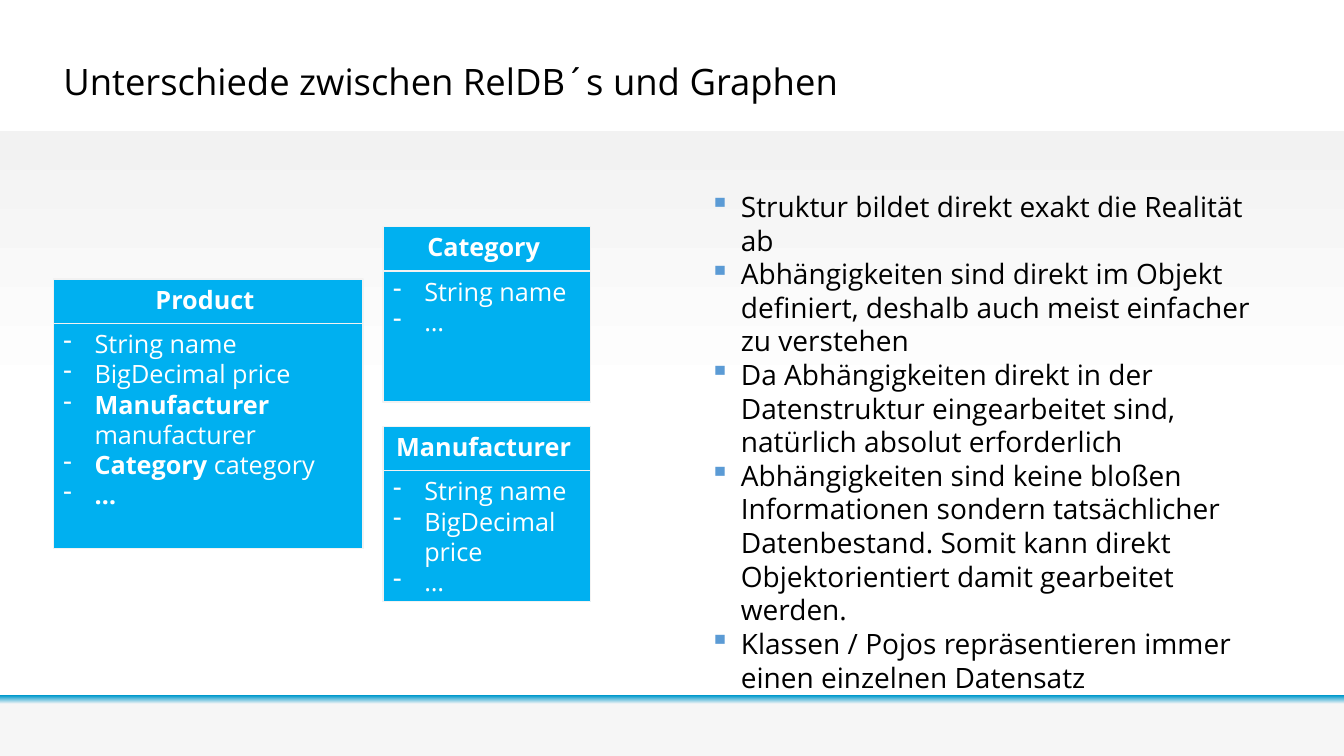
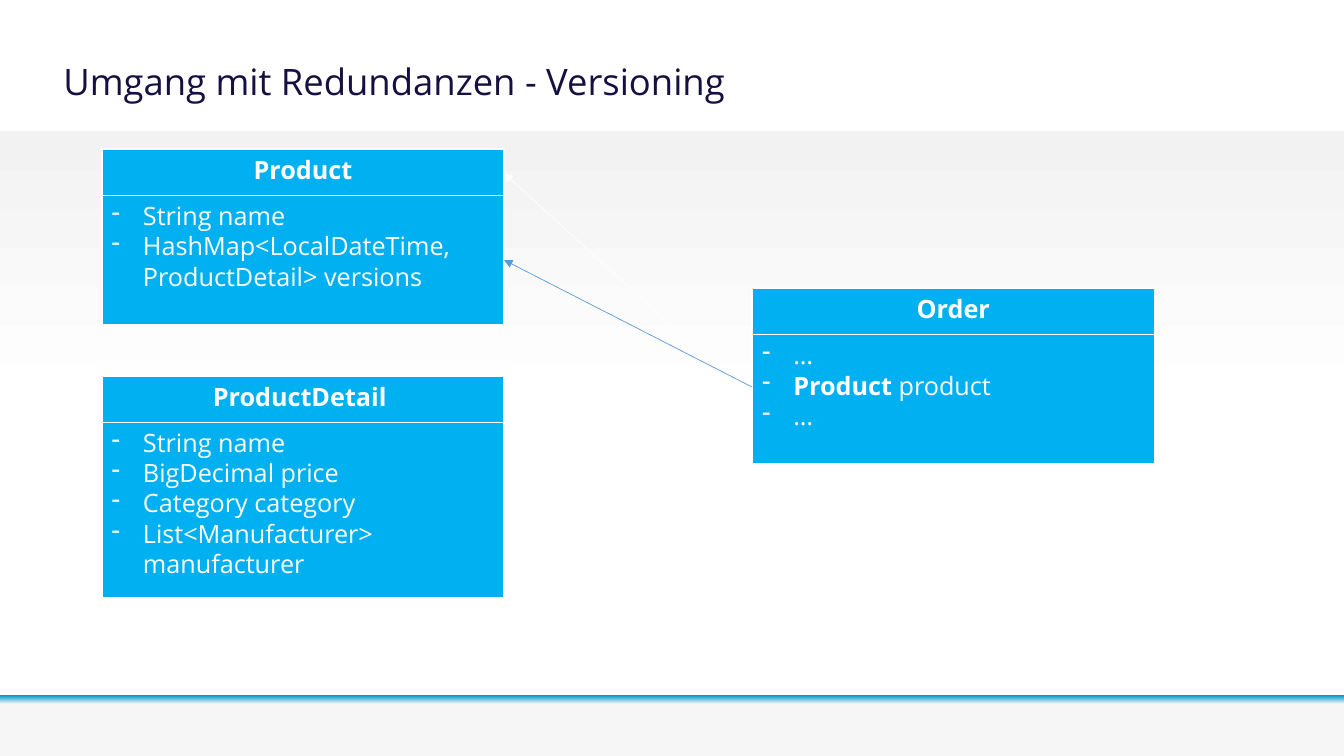
from lxml.etree import SubElement
from pptx import Presentation
from pptx.dml.color import RGBColor
from pptx.enum.shapes import MSO_CONNECTOR as Connector, MSO_SHAPE as Shape
from pptx.enum.text import MSO_ANCHOR as Anchor, MSO_AUTO_SIZE as AutoSize, PP_ALIGN as Align
from pptx.oxml.ns import qn
from pptx.util import Inches, Pt

FONT = "Open Sans"
BLACK, NAVY, WHITE, LIGHT = "000000", "150F42", "FFFFFF", "F2F2F2"
CLASS_BLUE, ACCENT = "00B0F0", "5B9BD5"
WIDTH, HEIGHT = 13.33, 7.5
INDENT = 0.31

GRAPH_POINTS = [
    "Struktur bildet direkt exakt die Realität ab",
    "Abhängigkeiten sind direkt im Objekt definiert, deshalb auch meist einfacher zu verstehen",
    "Da Abhängigkeiten direkt in der Datenstruktur eingearbeitet sind, natürlich absolut erforderlich",
    "Abhängigkeiten sind keine bloßen Informationen sondern tatsächlicher Datenbestand. "
    "Somit kann direkt Objektorientiert damit gearbeitet werden.",
    "Klassen / Pojos repräsentieren immer einen einzelnen Datensatz",
]


def color(code):
    return RGBColor.from_string(code)


def inches(*lengths):
    return [Inches(length) for length in lengths]


# Text
def style(para, size, code, bold=None):
    for span in para.runs:
        span.font.name = FONT
        span.font.size = Pt(size)
        span.font.color.rgb = color(code)
        if bold is not None:
            span.font.bold = bold


def add_bullet(para, mark, code=None):
    props = para._p.get_or_add_pPr()
    props.set("marL", str(Inches(INDENT)))
    props.set("indent", str(-Inches(INDENT)))
    if code:
        SubElement(SubElement(props, qn("a:buClr")), qn("a:srgbClr")).set("val", code)
    SubElement(props, qn("a:buChar")).set("char", mark)


def fill_list(frame, items, mark, size, code, mark_code=None):
    """Each item is plain text or a pair of bold and regular text."""
    for index, item in enumerate(items):
        para = frame.paragraphs[0] if index == 0 else frame.add_paragraph()
        para.alignment = Align.LEFT
        if isinstance(item, tuple):
            for text, bold in zip(item, (True, False)):
                if text:
                    span = para.add_run()
                    span.text, span.font.bold = text, bold
        else:
            para.text = item
        style(para, size, code)
        add_bullet(para, mark, mark_code)


# Slide frame: gradient bands and title
def add_band(page, box, stops):
    band = page.shapes.add_shape(Shape.RECTANGLE, *inches(*box))
    band.shadow.inherit = False
    band.line.fill.background()
    band.fill.gradient()
    band.fill.gradient_angle = 270
    for stop, (position, code) in zip(band.fill.gradient_stops, stops):
        stop.position = position
        stop.color.rgb = color(code)


def add_page(deck, title, title_color):
    page = deck.slides.add_slide(deck.slide_layouts[6])
    add_band(page, (0, 6.9, WIDTH, 0.6), [(0, "0099CC"), (0.14, "F6F6F6")])
    add_band(page, (0, 1.3, WIDTH, 2.71), [(0, LIGHT), (1, WHITE)])
    frame = page.shapes.add_textbox(*inches(0.53, 0.4, 12.27, 0.87)).text_frame
    frame.word_wrap = True
    frame.vertical_anchor = Anchor.MIDDLE
    frame.text = title
    frame.paragraphs[0].line_spacing = 0.9
    style(frame.paragraphs[0], 26, title_color)
    return page


# Class diagram parts
def add_class(page, box, name, fields, header=0.46, outline=WHITE):
    """Draw a class box and return its field compartment."""
    left, top, width, height = box
    group = page.shapes.add_group_shape()

    def add_compartment(offset):
        part = group.shapes.add_shape(
            Shape.RECTANGLE, *inches(left, top + offset, width, height - offset))
        part.shadow.inherit = False
        part.fill.solid()
        part.fill.fore_color.rgb = color(CLASS_BLUE)
        part.line.color.rgb = color(outline)
        part.line.width = Pt(1)
        part.text_frame.word_wrap = True
        part.text_frame.vertical_anchor = Anchor.TOP
        return part

    heading = add_compartment(0).text_frame
    heading.text = name
    heading.paragraphs[0].alignment = Align.CENTER
    style(heading.paragraphs[0], 18, WHITE, bold=True)
    body = add_compartment(header)
    fill_list(body.text_frame, fields, "-", 18, WHITE)
    return body


def add_arrow(page, start, end, code):
    arrow = page.shapes.add_connector(Connector.STRAIGHT, *inches(*start, *end))
    arrow.line.color.rgb = color(code)
    arrow.line.width = Pt(0.5)
    SubElement(arrow.line._get_or_add_ln(), qn("a:tailEnd")).set("type", "triangle")
    SubElement(arrow._element.spPr, qn("a:effectLst"))
    return arrow


def add_points(page, box, points):
    frame = page.shapes.add_textbox(*inches(*box)).text_frame
    frame.word_wrap = True
    frame.auto_size = AutoSize.SHAPE_TO_FIT_TEXT
    fill_list(frame, points, "▪", 20, BLACK, ACCENT)


# Slides
def build_differences(deck):
    page = add_page(deck, "Unterschiede zwischen RelDB´s und Graphen", BLACK)
    classes = [
        ((0.53, 2.77, 3.07, 2.67), "Product ",
         ["String name", "BigDecimal price", ("Manufacturer ", "manufacturer"),
          ("Category ", "category"), ("…", "")]),
        ((3.8, 2.25, 2.06, 1.74), "Category ", ["String name", "…"]),
        ((3.8, 4.23, 2.06, 1.74), "Manufacturer ",
         ["String name", "BigDecimal price", "…"]),
    ]
    for box, name, fields in classes:
        add_class(page, box, name, fields, header=0.44, outline=LIGHT)
    add_points(page, (6.94, 1.83, 5.6, 4.81), GRAPH_POINTS)


def build_versioning(deck):
    page = add_page(deck, "Umgang mit Redundanzen - Versioning", NAVY)
    left, order_left, width = 1.01, 7.46, 3.99
    product = add_class(page, (left, 1.48, width, 1.74), "Product",
                        ["String name", "HashMap<LocalDateTime, ProductDetail> versions"])
    add_class(page, (left, 3.73, width, 2.2), "ProductDetail ",
              ["String name", "BigDecimal price", "Category category",
               "List<Manufacturer> manufacturer"])
    order = add_class(page, (order_left, 2.86, width, 1.74), "Order",
                      ["…", ("Product ", "product"), "…"])
    right = left + width
    name_arrow = add_arrow(page, (order_left, 3.96), (right, 1.72), WHITE)
    name_arrow.begin_connect(order, 1)
    version_arrow = add_arrow(page, (order_left, 3.84), (right, 2.59), ACCENT)
    version_arrow.end_connect(product, 3)


def main():
    deck = Presentation()
    deck.slide_width, deck.slide_height = inches(WIDTH, HEIGHT)
    build_differences(deck)
    build_versioning(deck)
    deck.save("out.pptx")


if __name__ == "__main__":
    main()
